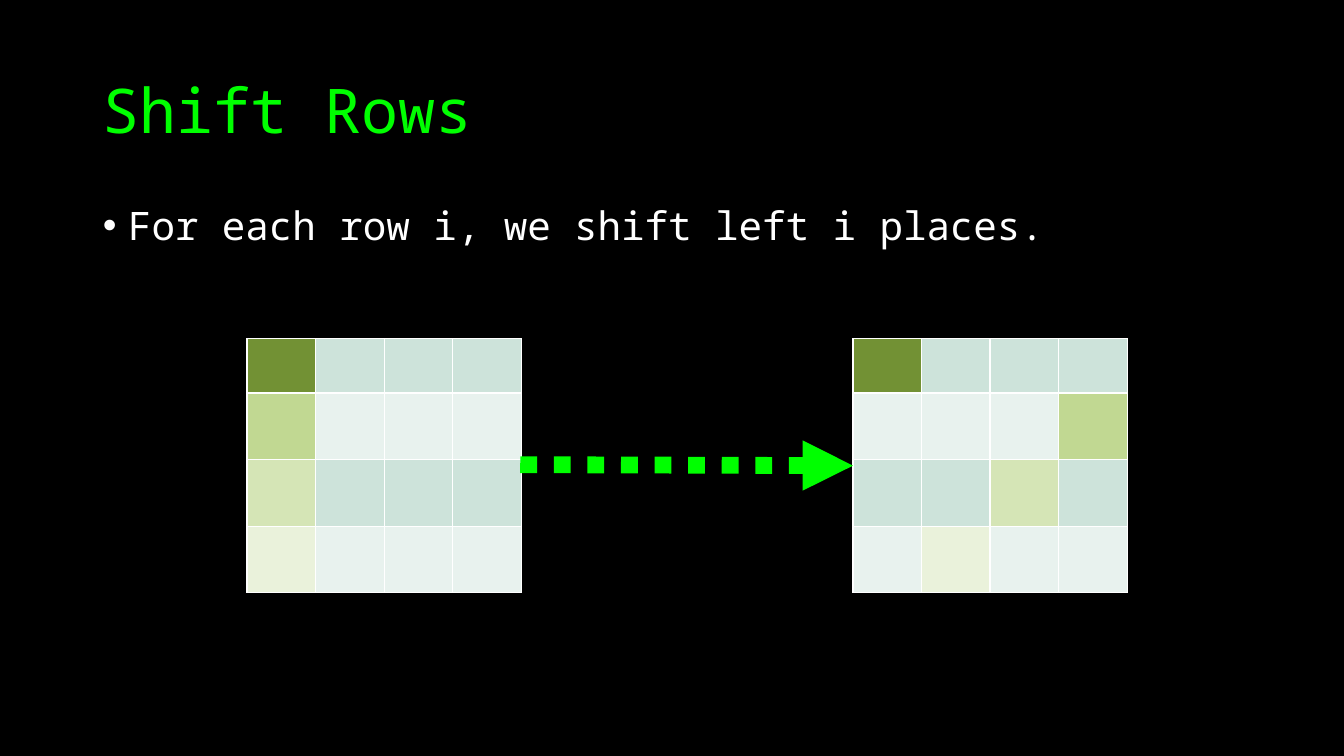
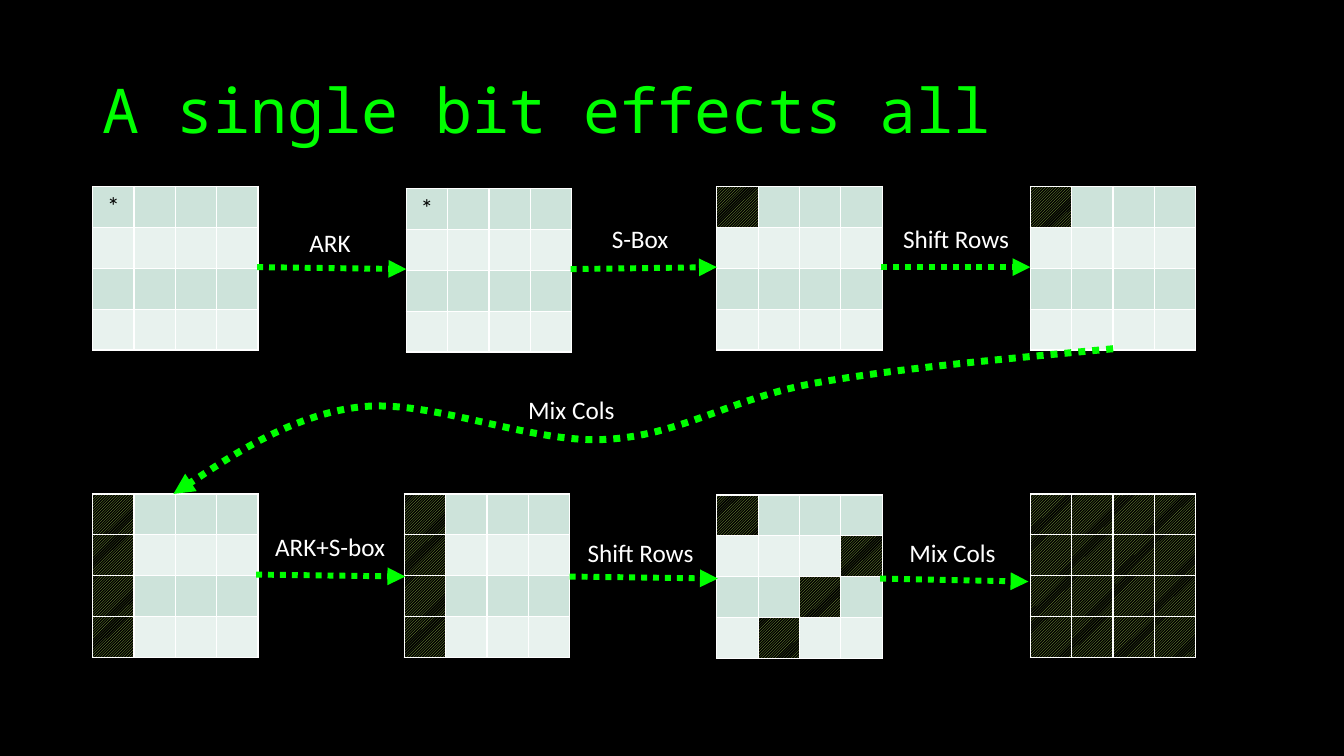
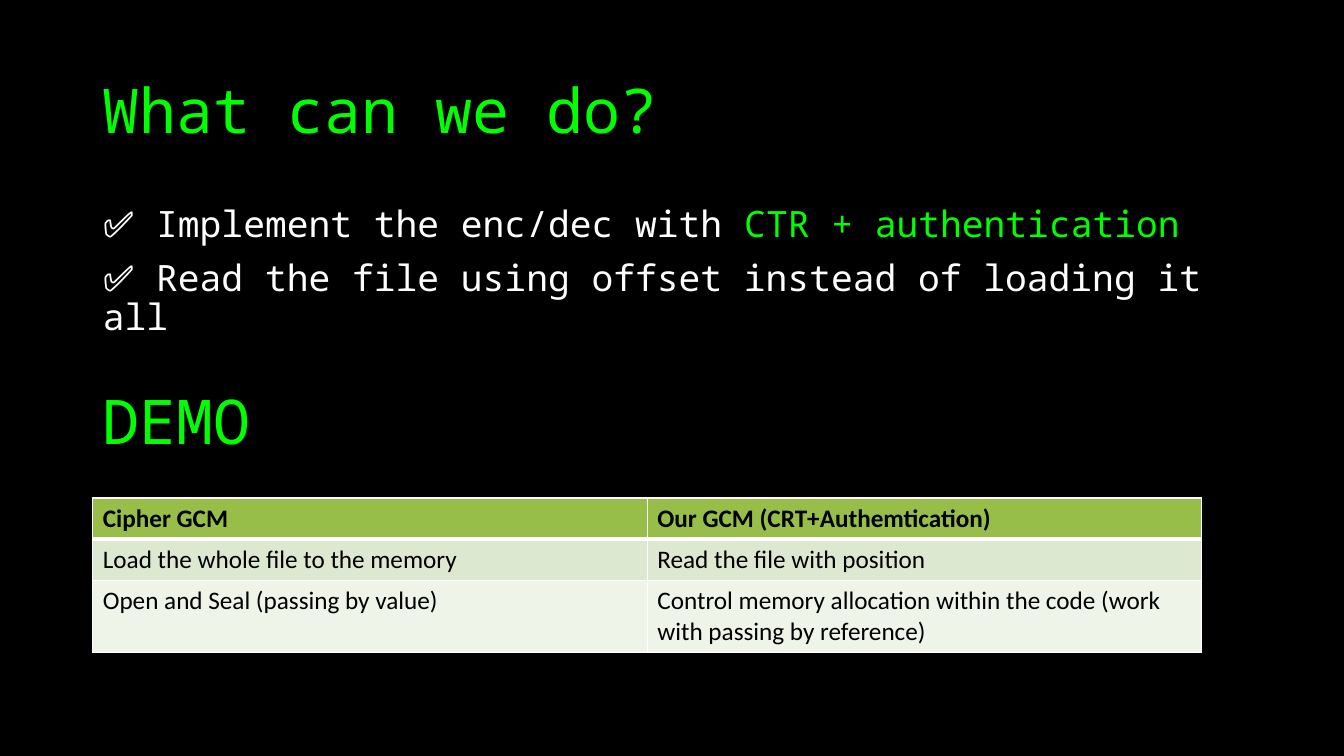
from lxml import etree
from pptx import Presentation
from pptx.dml.color import RGBColor
from pptx.enum.dml import MSO_LINE, MSO_PATTERN
from pptx.enum.shapes import MSO_CONNECTOR
from pptx.enum.text import MSO_ANCHOR, MSO_AUTO_SIZE, PP_ALIGN
from pptx.oxml.ns import qn
from pptx.util import Inches, Pt

BLACK = RGBColor(0x00, 0x00, 0x00)
WHITE = RGBColor(0xFF, 0xFF, 0xFF)
GREEN = RGBColor(0x00, 0xFF, 0x00)
OLIVE = RGBColor(0x97, 0xBE, 0x49)
MINT_BANDS = [RGBColor(0xCD, 0xE3, 0xDA), RGBColor(0xE8, 0xF2, 0xEE)]
SAGE_BANDS = [RGBColor(0xDD, 0xE8, 0xD0), RGBColor(0xEF, 0xF4, 0xE9)]
ROW_SHADES = [
    RGBColor(0x72, 0x91, 0x34),
    RGBColor(0xC1, 0xD8, 0x92),
    RGBColor(0xD5, 0xE5, 0xB6),
    RGBColor(0xEA, 0xF2, 0xDB),
]

MONO = "Noto Sans Mono"
SANS = "Calibri"
TITLE_SIZE = 44
SMALL_SIZE = 18
MARGIN = 0.92
SIDE = 4
HATCH = "hatch"

TITLE_ONLY, TITLE_AND_BODY = 5, 1
LEFT, CENTER = PP_ALIGN.LEFT, PP_ALIGN.CENTER
MIDDLE = MSO_ANCHOR.MIDDLE
NO_AUTOFIT, GROW = MSO_AUTO_SIZE.NONE, MSO_AUTO_SIZE.SHAPE_TO_FIT_TEXT
DOTTED = MSO_LINE.ROUND_DOT
DIAGONAL = MSO_PATTERN.LIGHT_UPWARD_DIAGONAL
STRAIGHT = MSO_CONNECTOR.STRAIGHT


def add_run(paragraph, text, size, color, font=MONO, bold=False):
    """Add one formatted run to a paragraph."""
    run = paragraph.add_run()
    run.text = text
    run.font.size = Pt(size)
    run.font.name = font
    run.font.bold = bold
    run.font.color.rgb = color


def place(shape, left, top, width, height):
    """Move and size a shape, in inches."""
    shape.left, shape.top = Inches(left), Inches(top)
    shape.width, shape.height = Inches(width), Inches(height)


def write_heading(shape, text):
    """Write a large green heading into a shape."""
    frame = shape.text_frame
    frame.word_wrap = True
    frame.auto_size = NO_AUTOFIT
    frame.vertical_anchor = MIDDLE
    paragraph = frame.paragraphs[0]
    paragraph.alignment = LEFT
    paragraph.line_spacing = 0.9
    add_run(paragraph, text, TITLE_SIZE, GREEN)


def add_titled_slide(presentation, layout, title):
    """Add a slide with its title."""
    slide = presentation.slides.add_slide(presentation.slide_layouts[layout])
    place(slide.shapes.title, MARGIN, 0.4, 11.5, 1.45)
    write_heading(slide.shapes.title, title)
    return slide


def set_bullet(paragraph, bullet):
    """Give a paragraph a hanging bullet, or none."""
    properties = paragraph._p.get_or_add_pPr()
    indent = Inches(0.25) if bullet else 0
    properties.set("marL", str(indent))
    properties.set("indent", str(-indent))
    if bullet:
        etree.SubElement(properties, qn("a:buFont")).set("typeface", "Arial")
        etree.SubElement(properties, qn("a:buChar")).set("char", bullet)
    else:
        etree.SubElement(properties, qn("a:buNone"))


def write_body(slide, height, size, lines, bullet=None):
    """Fill the body placeholder; each line is a list of (text, color)."""
    body = slide.placeholders[1]
    place(body, MARGIN, 2, 11.5, height)
    frame = body.text_frame
    frame.auto_size = NO_AUTOFIT
    for index, line in enumerate(lines):
        paragraph = frame.add_paragraph() if index else frame.paragraphs[0]
        paragraph.line_spacing = 0.9
        paragraph.space_before = Pt(10)
        set_bullet(paragraph, bullet)
        for text, color in line:
            add_run(paragraph, text, size, color)


def set_borders(cell, top=1, bottom=1):
    """Draw white borders around a cell, widths in points."""
    properties = cell._tc.get_or_add_tcPr()
    widths = {"a:lnL": 1, "a:lnR": 1, "a:lnT": top, "a:lnB": bottom}
    for position, (tag, width) in enumerate(widths.items()):
        line = etree.Element(qn(tag), w=str(Pt(width)))
        fill = etree.SubElement(line, qn("a:solidFill"))
        etree.SubElement(fill, qn("a:srgbClr")).set("val", str(WHITE))
        properties.insert(position, line)


def fill_cell(cell, fill):
    """Fill a cell with a plain color or the hatch."""
    if fill == HATCH:
        cell.fill.patterned()
        cell.fill.pattern = DIAGONAL
        cell.fill.fore_color.rgb = OLIVE
        cell.fill.back_color.rgb = BLACK
    else:
        cell.fill.solid()
        cell.fill.fore_color.rgb = fill


def add_plain_table(slide, left, top, column_widths, row_heights):
    """Add a table without a banded style and return it."""
    table = slide.shapes.add_table(
        len(row_heights), len(column_widths), Inches(left), Inches(top),
        Inches(sum(column_widths)), Inches(sum(row_heights))).table
    table.first_row = table.horz_banding = False
    for column, width in zip(table.columns, column_widths):
        column.width = Inches(width)
    for row, height in zip(table.rows, row_heights):
        row.height = Inches(height)
    return table


def add_state(slide, left, top, column_width, row_heights, marks, star=False):
    """Add a 4 by 4 state; marks maps (row, column) to a special fill."""
    table = add_plain_table(slide, left, top, [column_width] * SIDE, row_heights)
    for row in range(SIDE):
        for column in range(SIDE):
            cell = table.cell(row, column)
            fill_cell(cell, marks.get((row, column), MINT_BANDS[row % 2]))
            set_borders(cell)
    if star:
        paragraph = table.cell(0, 0).text_frame.paragraphs[0]
        paragraph.alignment = CENTER
        add_run(paragraph, "*", SMALL_SIZE, BLACK, SANS)


def style_arrow(shape, width):
    """Make a line dotted and green with an arrowhead and no shadow."""
    shape.line.color.rgb = GREEN
    shape.line.width = Pt(width)
    shape.line.dash_style = DOTTED
    properties = shape.element.spPr
    etree.SubElement(properties.find(qn("a:ln")), qn("a:tailEnd")).set("type", "triangle")
    etree.SubElement(properties, qn("a:effectLst"))


def add_arrow(shapes, start, end, width):
    """Add a straight dotted arrow."""
    points = [Inches(value) for value in (*start, *end)]
    style_arrow(shapes.add_connector(STRAIGHT, *points), width)


def add_curved_arrow(shapes, points, width):
    """Add a dotted arrow through cubic curves: a start, then three points each."""
    start, *rest = [(Inches(x), Inches(y)) for x, y in points]
    builder = shapes.build_freeform(*start)
    builder.add_line_segments(rest, close=False)
    shape = builder.convert_to_shape()
    shape.fill.background()
    outline = shape.element.spPr.find(".//" + qn("a:path"))
    segments = outline.findall(qn("a:lnTo"))
    for first in range(0, len(segments), 3):
        curve = etree.SubElement(outline, qn("a:cubicBezTo"))
        for segment in segments[first:first + 3]:
            curve.append(segment[0])
            outline.remove(segment)
    style_arrow(shape, width)


def add_label(shapes, text, left, top, width):
    """Add a small white label."""
    box = shapes.add_textbox(Inches(left), Inches(top), Inches(width), Inches(0.4))
    box.text_frame.word_wrap = True
    box.text_frame.auto_size = GROW
    add_run(box.text_frame.paragraphs[0], text, SMALL_SIZE, WHITE, SANS)


def add_comparison(slide, top, rows):
    """Add the two-column comparison table with a header row."""
    table = add_plain_table(slide, MARGIN, top, [5.5, 5.5], [0.41, 0.41, 0.69])
    for row, texts in enumerate(rows):
        header = row == 0
        for column, text in enumerate(texts):
            cell = table.cell(row, column)
            fill_cell(cell, OLIVE if header else SAGE_BANDS[(row - 1) % 2])
            set_borders(cell, top=3 if row == 1 else 1, bottom=3 if header else 1)
            add_run(cell.text_frame.paragraphs[0], text, SMALL_SIZE, BLACK, SANS, header)


def build_shift_rows(presentation):
    """Build the slide on shifting rows."""
    slide = add_titled_slide(presentation, TITLE_AND_BODY, "Shift Rows")
    write_body(slide, 0.64, 28,
               [[("For each row i, we shift left i places.", WHITE)]], "•")
    heights = [0.54, 0.66, 0.66, 0.66]
    before = {(row, 0): shade for row, shade in enumerate(ROW_SHADES)}
    after = {(row, -row % SIDE): shade for row, shade in enumerate(ROW_SHADES)}
    for left, marks in ((2.45, before), (8.46, after)):
        add_state(slide, left, 3.36, 0.68, heights, marks)
    add_arrow(slide.shapes, (5.16, 4.61), (8.46, 4.62), 12)


def build_single_bit(presentation):
    """Build the slide on how one bit spreads through the state."""
    slide = add_titled_slide(presentation, TITLE_ONLY, "A single bit effects all")
    corner = {(0, 0): HATCH}
    first_column = {(row, 0): HATCH for row in range(SIDE)}
    shifted = {(row, -row % SIDE): HATCH for row in range(SIDE)}
    everything = {(row, column): HATCH for row in range(SIDE) for column in range(SIDE)}
    states = [
        (0.92, 1.85, {}, True), (4.03, 1.87, {}, True),
        (7.11, 1.85, corner, False), (10.22, 1.85, corner, False),
        (0.92, 4.9, first_column, False), (4.01, 4.9, first_column, False),
        (7.11, 4.91, shifted, False), (10.22, 4.9, everything, False),
    ]
    for left, top, marks, star in states:
        add_state(slide, left, top, 0.41, [0.4] * SIDE, marks, star)

    steps = [
        ((2.55, 2.65), (4.03, 2.67), "ARK", 2.97, 2.21, 0.64),
        ((5.66, 2.67), (7.11, 2.65), "S-Box", 5.97, 2.17, 0.87),
        ((8.74, 2.65), (10.22, 2.65), "Shift Rows", 8.86, 2.17, 1.34),
        ((2.54, 5.7), (4.02, 5.72), "ARK+S-box", 2.63, 5.22, 1.65),
        ((5.65, 5.72), (7.12, 5.74), "Shift Rows", 5.73, 5.28, 1.34),
        ((8.73, 5.74), (10.2, 5.77), "Mix Cols", 8.92, 5.28, 1.08),
    ]
    for start, end, *label in steps:
        group = slide.shapes.add_group_shape()
        add_arrow(group.shapes, start, end, 4.25)
        add_label(group.shapes, *label)

    group = slide.shapes.add_group_shape()
    add_curved_arrow(group.shapes, [
        (11.04, 3.46),
        (9.99, 3.56), (8.93, 3.65), (8.09, 3.8),
        (7.25, 3.95), (6.76, 4.32), (6, 4.36),
        (5.24, 4.4), (4.26, 3.95), (3.55, 4.04),
        (2.84, 4.13), (1.72, 4.9), (1.72, 4.9),
    ], 5)
    add_label(group.shapes, "Mix Cols", 5.14, 3.86, 1.08)


def build_what_can_we_do(presentation):
    """Build the slide with the proposals and the comparison."""
    slide = add_titled_slide(presentation, TITLE_AND_BODY, "What can we do?")
    write_body(slide, 1.23, 25.9, [
        [("✅ Implement the enc/dec with ", WHITE), ("CTR + authentication", GREEN)],
        [("✅ Read the file using offset instead of loading it all", WHITE)],
    ])
    demo = slide.shapes.add_textbox(Inches(MARGIN), Inches(3.49), Inches(1.77), Inches(1.45))
    write_heading(demo, "DEMO")
    add_comparison(slide, 4.94, [
        ("Cipher GCM", "Our GCM (CRT+Authemtication)"),
        ("Load the whole file to the memory", "Read the file with position"),
        ("Open and Seal (passing by value)",
         "Control memory allocation within the code (work with passing by reference)"),
    ])


def main():
    """Build and save the presentation."""
    presentation = Presentation()
    presentation.slide_width, presentation.slide_height = Inches(13.33), Inches(7.5)
    background = presentation.slide_master.background.fill
    background.solid()
    background.fore_color.rgb = BLACK
    build_shift_rows(presentation)
    build_single_bit(presentation)
    build_what_can_we_do(presentation)
    presentation.save("out.pptx")


main()
